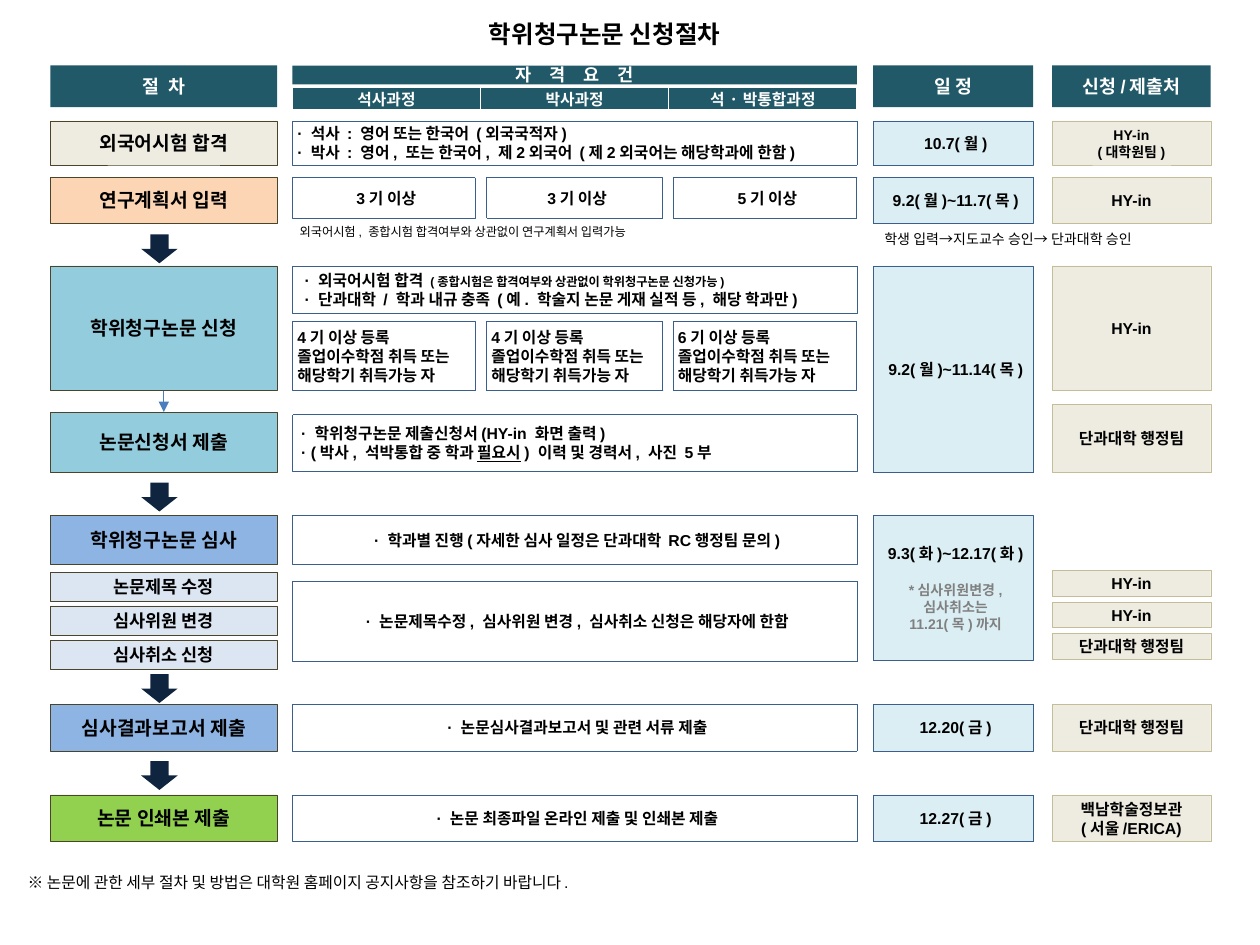
from dataclasses import dataclass
from typing import NamedTuple, Optional

from lxml import etree
from pptx import Presentation
from pptx.dml.color import RGBColor
from pptx.enum.dml import MSO_LINE
from pptx.enum.shapes import MSO_CONNECTOR, MSO_SHAPE
from pptx.enum.text import MSO_ANCHOR, MSO_AUTO_SIZE, PP_ALIGN
from pptx.oxml.ns import qn
from pptx.util import Inches, Pt

RECT, DOWN = MSO_SHAPE.RECTANGLE, MSO_SHAPE.DOWN_ARROW
LEFT, CENTER = PP_ALIGN.LEFT, PP_ALIGN.CENTER
TOP, MIDDLE = MSO_ANCHOR.TOP, MSO_ANCHOR.MIDDLE
DOTTED, SOLID = MSO_LINE.ROUND_DOT, MSO_LINE.SOLID


@dataclass(frozen=True)
class Theme:
    font: str = "Arial"
    table_font: str = "Noto Sans CJK KR"
    black: str = "000000"
    white: str = "FFFFFF"
    grey: str = "808080"
    head: str = "215968"
    arrow: str = "0F243E"
    link: str = "4B7EBC"
    step_line: str = "4A452A"
    rule_line: str = "3A5F8C"
    place_line: str = "C4BD97"
    beige: str = "EEECE1"
    peach: str = "FCD5B5"
    teal: str = "93CDDD"
    blue: str = "8EB4E3"
    pale: str = "DCE6F2"
    green: str = "92D050"
    sky: str = "DBEEF4"
    title: float = 14
    step: float = 11
    header: float = 10.5
    sub: float = 10
    body: float = 9
    note: float = 8
    small: float = 7


T = Theme()


class Span(NamedTuple):
    start: float
    size: float


class Run(NamedTuple):
    text: str
    size: Optional[float] = None
    color: Optional[str] = None
    underline: bool = False


class Style(NamedTuple):
    fill: Optional[str]
    line: Optional[str]
    size: float = T.body
    color: str = T.black
    dash: MSO_LINE = SOLID
    insets: tuple = (0.1, 0.05, 0.1, 0.05)
    align: PP_ALIGN = CENTER
    spacing: float = 0


class Box(NamedTuple):
    col: Span
    row: Span
    style: Style
    lines: list


# Grid columns
STEP, REQ = Span(0.4, 1.8), Span(2.32, 4.48)
THIRDS = [Span(2.32, 1.45), Span(3.86, 1.4), Span(5.34, 1.46)]
DATE, PLACE = Span(6.93, 1.27), Span(8.35, 1.26)

# Grid rows
HEAD, LANGUAGE, PLAN = Span(0.52, 0.33), Span(0.96, 0.35), Span(1.41, 0.36)
APPLY, SUBMIT = Span(2.11, 0.99), Span(3.27, 0.48)
REVIEW, REPORT, PRINT = Span(4.09, 0.39), Span(5.59, 0.37), Span(6.31, 0.37)
CHANGES = Span(4.61, 0.64)

# Box styles
HEADER = Style(T.head, None, T.header, T.white, insets=(0.1, 0, 0.1, 0))
RULE = Style(None, T.rule_line, dash=DOTTED, insets=(0.04, 0, 0, 0))
RULE_LEFT = RULE._replace(align=LEFT)
BULLETS = RULE_LEFT._replace(insets=(0.1, 0, 0, 0))
DAY = RULE._replace(fill=T.sky)
OFFICE = Style(T.beige, T.place_line)


def step_style(fill: str, size: float = T.step) -> Style:
    return Style(fill, T.step_line, size)


def rgb(value: str) -> RGBColor:
    return RGBColor.from_string(value)


def add_run(p, run: Run, size: float, color: str, bold: bool, font: str = T.font):
    r = p.add_run()
    r.text = run.text
    r.font.name, r.font.bold = font, bold
    r.font.size = Pt(run.size or size)
    r.font.color.rgb = rgb(run.color or color)
    if run.underline:
        r.font.underline = True
    return r


def add_shape(s, kind, col: Span, row: Span, fill: Optional[str], line: Optional[str]):
    sp = s.shapes.add_shape(kind, Inches(col.start), Inches(row.start),
                            Inches(col.size), Inches(row.size))
    sp.shadow.inherit = False
    if fill:
        sp.fill.solid()
        sp.fill.fore_color.rgb = rgb(fill)
    else:
        sp.fill.background()
    if line:
        sp.line.color.rgb, sp.line.width = rgb(line), Pt(0.25)
    else:
        sp.line.fill.background()
    return sp


def add_box(s, box: Box):
    st = box.style
    sp = add_shape(s, RECT, box.col, box.row, st.fill, st.line)
    if st.line:
        sp.line.dash_style = st.dash
    tf = sp.text_frame
    tf.word_wrap, tf.vertical_anchor = True, MIDDLE
    tf.margin_left, tf.margin_top, tf.margin_right, tf.margin_bottom = map(Inches, st.insets)
    for i, line in enumerate(box.lines):
        p = tf.add_paragraph() if i else tf.paragraphs[0]
        p.alignment = st.align
        for part in [line] if isinstance(line, (str, Run)) else line:
            run = part if isinstance(part, Run) else Run(part)
            r = add_run(p, run, st.size, st.color, True)
            if st.spacing:
                r.font._element.set("spc", str(int(st.spacing * 100)))
    return sp


def add_note(s, x: float, y: float, w: float, h: float, text: str, size: float):
    sp = s.shapes.add_textbox(Inches(x), Inches(y), Inches(w), Inches(h))
    sp.text_frame.word_wrap = False
    add_run(sp.text_frame.paragraphs[0], Run(text), size, T.black, False)


def add_course_table(s, names: list):
    table = s.shapes.add_table(1, len(names), Inches(REQ.start), Inches(0.69),
                               Inches(REQ.size), Inches(0.16)).table
    table.first_row = table.horz_banding = False
    for i, name in enumerate(names):
        cell = table.cell(0, i)
        cell.margin_left = cell.margin_right = cell.margin_top = cell.margin_bottom = 0
        cell.fill.solid()
        cell.fill.fore_color.rgb = rgb(T.head)
        p = cell.text_frame.paragraphs[0]
        p.alignment = CENTER
        add_run(p, Run(name), T.body, T.white, True, T.table_font)
        # White dividers between the courses
        sides = ["a:lnL"] * (i > 0) + ["a:lnR"] * (i < len(names) - 1)
        for at, side in enumerate(sides):
            ln = etree.Element(qn(side), w=str(Pt(1)))
            fill = etree.SubElement(ln, qn("a:solidFill"))
            etree.SubElement(fill, qn("a:srgbClr"), val=T.white)
            cell._tc.get_or_add_tcPr().insert(at, ln)


def add_link(s, upper, lower):
    c = s.shapes.add_connector(MSO_CONNECTOR.STRAIGHT, 0, 0, 0, 0)
    c.begin_connect(upper, 2)
    c.end_connect(lower, 0)
    c.line.color.rgb, c.line.width = rgb(T.link), Pt(0.75)
    etree.SubElement(c.line._get_or_add_ln(), qn("a:tailEnd"), type="triangle")
    etree.SubElement(c._element.spPr, qn("a:effectLst"))


def registered(term: int) -> list:
    return [f"{term}기 이상 등록", "졸업이수학점 취득 또는", "해당학기 취득가능 자"]


BOXES = [
    # Headings
    Box(STEP, HEAD, HEADER._replace(spacing=1.5), ["절 차"]),
    Box(REQ, Span(0.52, 0.15), HEADER._replace(size=T.sub, spacing=4), ["자 격 요 건"]),
    Box(DATE, HEAD, HEADER, ["일 정"]),
    Box(PLACE, HEAD, HEADER, ["신청/제출처"]),
    # Language test
    Box(STEP, LANGUAGE, step_style(T.beige), ["외국어시험 합격"]),
    Box(REQ, LANGUAGE, RULE_LEFT, [
        "· 석사 : 영어 또는 한국어 (외국국적자)",
        "· 박사 : 영어, 또는 한국어, 제2외국어 (제2외국어는 해당학과에 한함)"]),
    Box(DATE, LANGUAGE, DAY, ["10.7(월)"]),
    Box(PLACE, LANGUAGE, OFFICE._replace(size=T.note), ["HY-in", "(대학원팀)"]),
    # Research plan
    Box(STEP, PLAN, step_style(T.peach), ["연구계획서 입력"]),
    *(Box(col, Span(PLAN.start, 0.32), RULE, [f"{term}기 이상"])
      for col, term in zip(THIRDS, (3, 3, 5))),
    Box(DATE, PLAN, DAY, ["9.2(월)~11.7(목)"]),
    Box(PLACE, PLAN, OFFICE, ["HY-in"]),
    # Application
    Box(REQ, Span(APPLY.start, 0.38), BULLETS, [
        ["· 외국어시험 합격 ", Run("(종합시험은 합격여부와 상관없이 학위청구논문 신청가능)", T.small)],
        "· 단과대학 / 학과 내규 충족 (예. 학술지 논문 게재 실적 등, 해당 학과만)"]),
    *(Box(col, Span(2.55, 0.55), RULE_LEFT, registered(term))
      for col, term in zip(THIRDS, (4, 4, 6))),
    Box(DATE, Span(APPLY.start, 1.64), DAY, ["9.2(월)~11.14(목)"]),
    Box(PLACE, APPLY, OFFICE, ["HY-in"]),
    # Submission of the form
    Box(REQ, Span(3.29, 0.45), BULLETS._replace(insets=(0.07, 0, 0, 0)), [
        "· 학위청구논문 제출신청서(HY-in 화면 출력)",
        ["· (박사, 석박통합 중 학과 ", Run("필요시", underline=True), ") 이력 및 경력서, 사진 5부"]]),
    Box(PLACE, Span(3.21, 0.54), OFFICE, ["단과대학 행정팀"]),
    # Review and changes
    Box(STEP, REVIEW, step_style(T.blue), ["학위청구논문 심사"]),
    Box(REQ, REVIEW, RULE, ["· 학과별 진행(자세한 심사 일정은 단과대학 RC행정팀 문의)"]),
    Box(REQ, CHANGES, RULE, ["· 논문제목수정, 심사위원 변경, 심사취소 신청은 해당자에 한함"]),
    *(Box(STEP, Span(4.54 + 0.27 * i, 0.23), step_style(T.pale, T.sub), [name])
      for i, name in enumerate(["논문제목 수정", "심사위원 변경", "심사취소 신청"])),
    *(Box(PLACE, Span(4.53 + 0.25 * i, 0.2), OFFICE, [name])
      for i, name in enumerate(["HY-in", "HY-in", "단과대학 행정팀"])),
    # Report and printed copy
    Box(STEP, REPORT, step_style(T.blue), ["심사결과보고서 제출"]),
    Box(REQ, REPORT, RULE, ["· 논문심사결과보고서 및 관련 서류 제출"]),
    Box(DATE, REPORT, DAY, ["12.20(금)"]),
    Box(PLACE, REPORT, OFFICE, ["단과대학 행정팀"]),
    Box(STEP, PRINT, step_style(T.green), ["논문 인쇄본 제출"]),
    Box(REQ, PRINT, RULE, ["· 논문 최종파일 온라인 제출 및 인쇄본 제출"]),
    Box(DATE, PRINT, DAY, ["12.27(금)"]),
    Box(PLACE, PRINT, OFFICE, ["백남학술정보관", "(서울/ERICA)"]),
]


def main():
    prs = Presentation()
    prs.slide_width, prs.slide_height = Inches(10), Inches(7.5)
    s = prs.slides.add_slide(prs.slide_layouts[5])

    # Title
    title = s.shapes.title
    title.left, title.top, title.width, title.height = map(Inches, (3.78, 0.1, 2.23, 0.34))
    tf = title.text_frame
    tf.auto_size, tf.word_wrap, tf.vertical_anchor = MSO_AUTO_SIZE.NONE, False, TOP
    tf.paragraphs[0].alignment = LEFT
    add_run(tf.paragraphs[0], Run("학위청구논문 신청절차"), T.title, T.black, True)

    # Grid of boxes
    for box in BOXES:
        add_box(s, box)
    add_course_table(s, ["석사과정", "박사과정", "석·박통합과정"])

    # Review period, with a spaced grey remark
    remark = ["*심사위원변경,", "심사취소는", "11.21(목)까지"]
    period = add_box(s, Box(DATE, Span(REVIEW.start, 1.15), DAY, [
        "9.3(화)~12.17(화)", *(Run(text, T.note, T.grey) for text in remark)]))
    period.text_frame.paragraphs[1].space_before = Pt(11)

    # Application leads to submission
    apply = add_box(s, Box(STEP, APPLY, step_style(T.teal), ["학위청구논문 신청"]))
    submit = add_box(s, Box(STEP, SUBMIT, step_style(T.teal), ["논문신청서 제출"]))
    add_link(s, apply, submit)

    # Arrows between stages
    for top in (1.86, 3.83, 5.35, 6.04):
        add_shape(s, DOWN, Span(1.12, 0.29), Span(top, 0.23), T.arrow, None)

    # Notes
    add_note(s, 2.28, 1.73, 3.05, 0.22,
             "외국어시험, 종합시험 합격여부와 상관없이 연구계획서 입력가능", T.small)
    add_note(s, 6.92, 1.78, 2.38, 0.24, "학생 입력→지도교수 승인→ 단과대학 승인", T.note)
    add_note(s, 0.12, 6.88, 4.98, 0.25,
             "※ 논문에 관한 세부 절차 및 방법은 대학원 홈페이지 공지사항을 참조하기 바랍니다.", T.body)

    prs.save("out.pptx")


if __name__ == "__main__":
    main()
